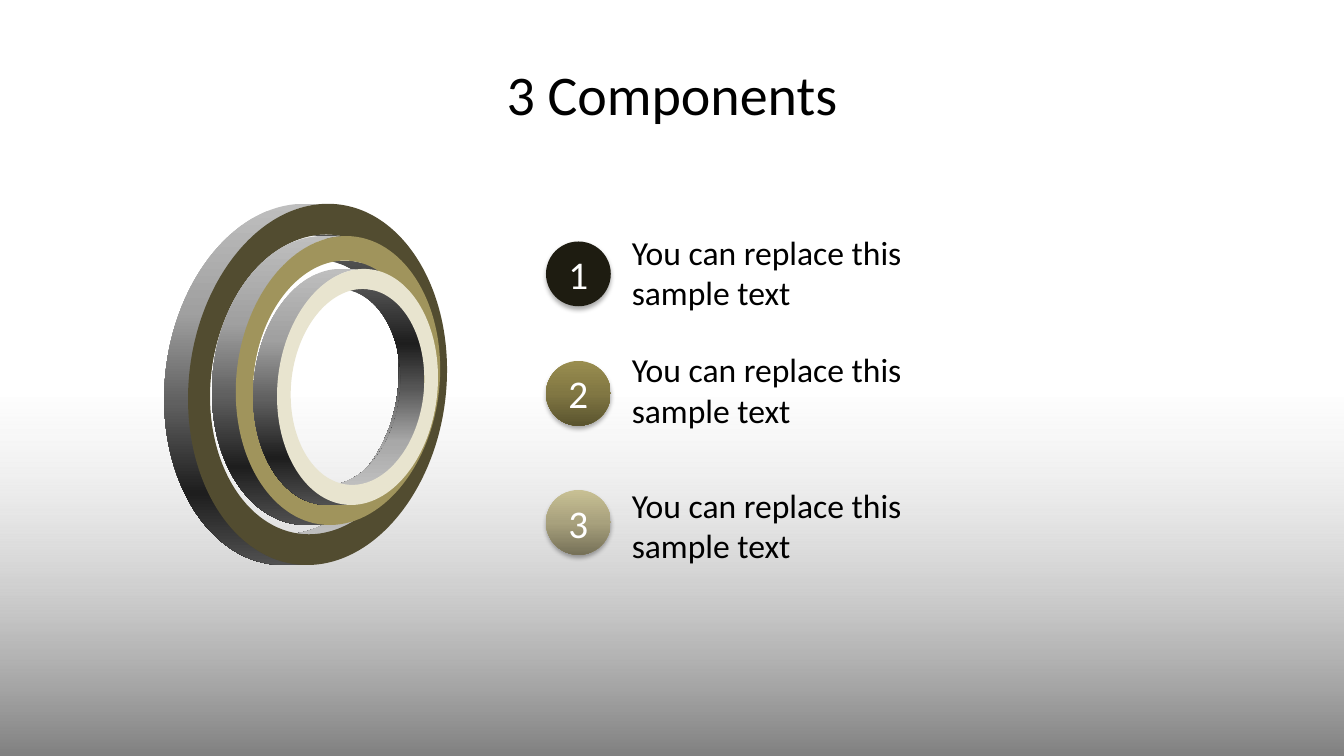
from math import cos, sin, radians, sqrt
from lxml.etree import SubElement
from pptx import Presentation
from pptx.dml.color import RGBColor
from pptx.enum.shapes import MSO_SHAPE as SHAPE
from pptx.enum.text import MSO_ANCHOR as ANCHOR, PP_ALIGN as ALIGN
from pptx.oxml.ns import qn
from pptx.util import Pt

COLORS = {
    "black": "000000", "white": "FFFFFF", "badge": "1E1C11",
    "outer": "524C30", "middle": "A0945C", "inner": "E8E4CF",
}
FLOOR = [(0, "D9D9D9", 4), (46, "BFBFBF", 60), (100, "808080", 100)]
OLIVE = [(0, "998D4F", 100), (50, "817743", 100), (100, "5A542F", 100)]
SAND = [(0, "C8C094", 100), (50, "A8A17D", 100), (100, "767158", 100)]
OUTSIDE = [(0, "BEBEBE", 100), (30, "A0A0A0", 100), (55, "606060", 100),
           (80, "1E1E1E", 100), (100, "505050", 100)]
INSIDE = [(0, "505050", 100), (28, "1E1E1E", 100), (50, "555555", 100),
          (78, "A8A8A8", 100), (100, "BEBEBE", 100)]

deck = Presentation()
deck.slide_width, deck.slide_height = Pt(960), Pt(540)
page = deck.slides.add_slide(deck.slide_layouts[6])


def paint(shape, fill):
    shape.shadow.inherit = False
    shape.line.fill.background()
    if isinstance(fill, str):
        shape.fill.solid()
        shape.fill.fore_color.rgb = RGBColor.from_string(fill)
        return
    shape.fill.gradient()
    shape.fill.gradient_angle = 270
    stops = shape._element.spPr.find(qn("a:gradFill")).find(qn("a:gsLst"))
    for stop in list(stops):
        stops.remove(stop)
    for position, color, opacity in fill:
        stop = SubElement(stops, qn("a:gs"), pos=str(position * 1000))
        tint = SubElement(stop, qn("a:srgbClr"), val=color)
        if opacity < 100:
            SubElement(tint, qn("a:alpha"), val=str(opacity * 1000))


def write(box, text, size, color="black", align=ALIGN.LEFT, anchor=ANCHOR.TOP):
    frame = box.text_frame
    frame.word_wrap = True
    frame.vertical_anchor = anchor
    frame.text = text
    para = frame.paragraphs[0]
    para.alignment = align
    font = para.runs[0].font
    font.name, font.size = "Calibri", Pt(size)
    font.color.rgb = RGBColor.from_string(COLORS[color])


floor = page.shapes.add_shape(SHAPE.RECTANGLE, 0, Pt(284), Pt(960), Pt(256))
paint(floor, FLOOR)

title = page.shapes.add_textbox(Pt(48), Pt(21.6), Pt(864), Pt(90))
write(title, "3 Components", 40, align=ALIGN.CENTER, anchor=ANCHOR.MIDDLE)

components = [
    ("1", COLORS["badge"], 172.5, 162),
    ("2", OLIVE, 257.8, 246),
    ("3", SAND, 350, 342.7),
]
for number, fill, badge_top, text_top in components:
    badge = page.shapes.add_shape(SHAPE.OVAL, Pt(390), Pt(badge_top), Pt(46.3), Pt(46.3))
    paint(badge, fill)
    effects = badge._element.spPr.find(qn("a:effectLst"))
    shadow = SubElement(effects, qn("a:outerShdw"), blurRad=str(Pt(3.5)),
                        dist=str(Pt(2.2)), dir="5400000", rotWithShape="0")
    shade = SubElement(shadow, qn("a:srgbClr"), val=COLORS["black"])
    SubElement(shade, qn("a:alpha"), val="32000")
    frame = badge.text_frame
    frame.margin_left = frame.margin_right = frame.margin_top = frame.margin_bottom = 0
    write(badge, number, 28, "white", ALIGN.CENTER, ANCHOR.MIDDLE)

    label = page.shapes.add_textbox(Pt(444.2), Pt(text_top), Pt(278), Pt(65.5))
    write(label, "You can replace this sample text", 24)

DEPTH = 17
HOLE = 0.83
HANDLE = 0.55
rings = [
    ("outer", 226.8, 274.6, 92.5, 129),
    ("middle", 241.4, 271.8, 73, 103.2),
    ("inner", 255.4, 276.4, 57.5, 84.3),
]
for name, center_x, center_y, half_width, half_height in rings:
    lean = 0.08 * half_width
    reach = sqrt(half_width ** 2 - lean ** 2)
    rims = []
    for scale in (1, HOLE):
        curve = []
        for quarter in range(-90, 271, 90):
            for pull in (-HANDLE, 0, HANDLE):
                across = cos(radians(quarter)) - pull * sin(radians(quarter))
                upward = sin(radians(quarter)) + pull * cos(radians(quarter))
                curve.append((center_x + scale * (lean * upward + reach * across),
                              center_y - scale * half_height * upward))
        rims.append(curve[1:-1])
    rim, hole = rims
    half = len(rim) // 2
    outlines = []
    for edge, fill in ((rim[half:], OUTSIDE), (hole[:half + 1], INSIDE)):
        back = [(x - DEPTH, y) for x, y in reversed(edge)]
        outlines.append(([edge + [edge[-1], back[0]] + back], fill))
    outlines.append(([rim, hole], COLORS[name]))
    for contours, fill in outlines:
        builder = None
        for contour in contours:
            points = [(Pt(x), Pt(y)) for x, y in contour]
            if builder is None:
                builder = page.shapes.build_freeform(*points[0])
            else:
                builder.move_to(*points[0])
            builder.add_line_segments(points[1:], close=True)
        shape = builder.convert_to_shape()
        segments = list(shape._element.spPr.iter(qn("a:lnTo")))
        for start in range(0, len(segments), 3):
            outline = segments[start].getparent()
            bend = SubElement(outline, qn("a:cubicBezTo"))
            segments[start].addprevious(bend)
            for segment in segments[start:start + 3]:
                bend.append(segment[0])
                outline.remove(segment)
        paint(shape, fill)

deck.save("out.pptx")
